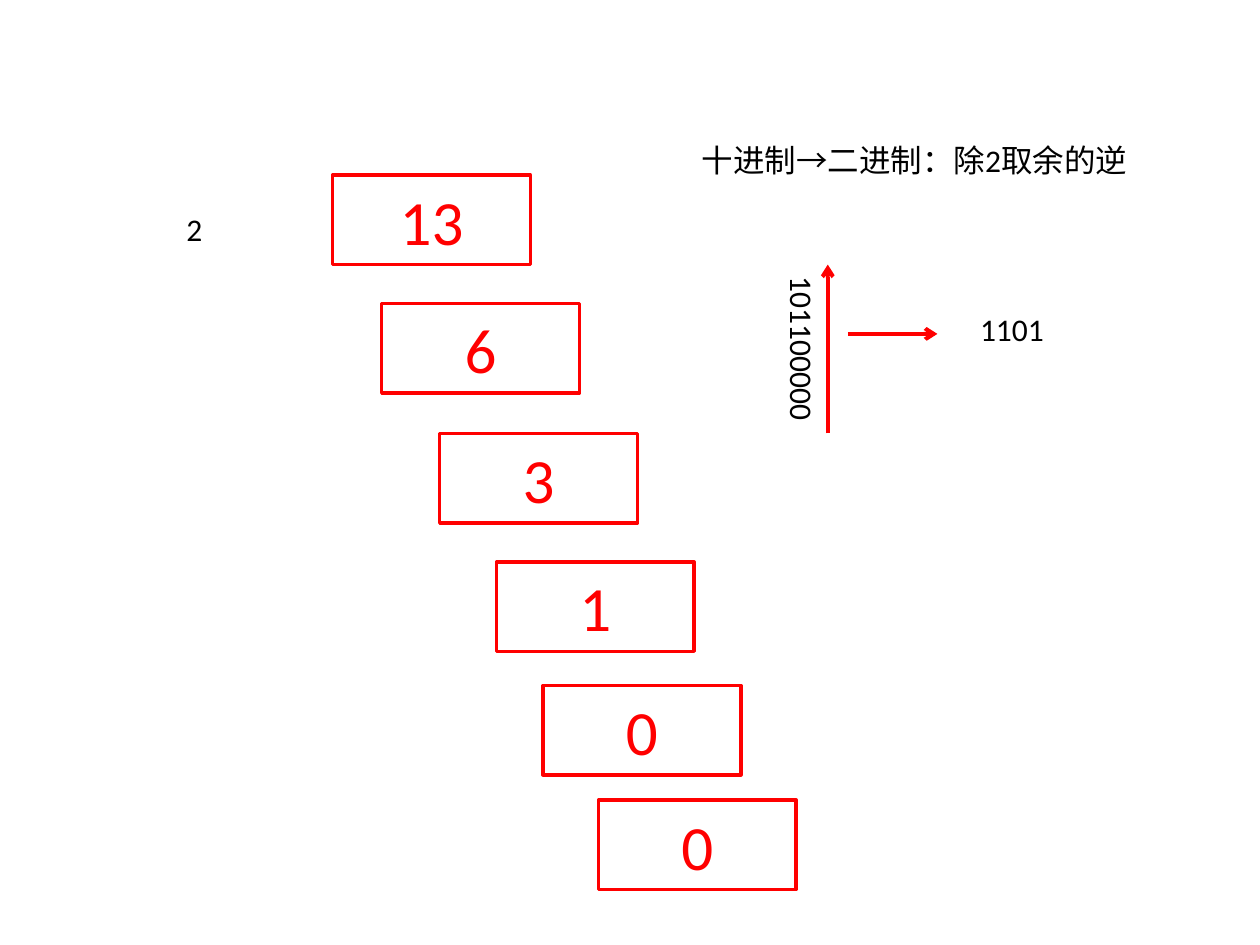
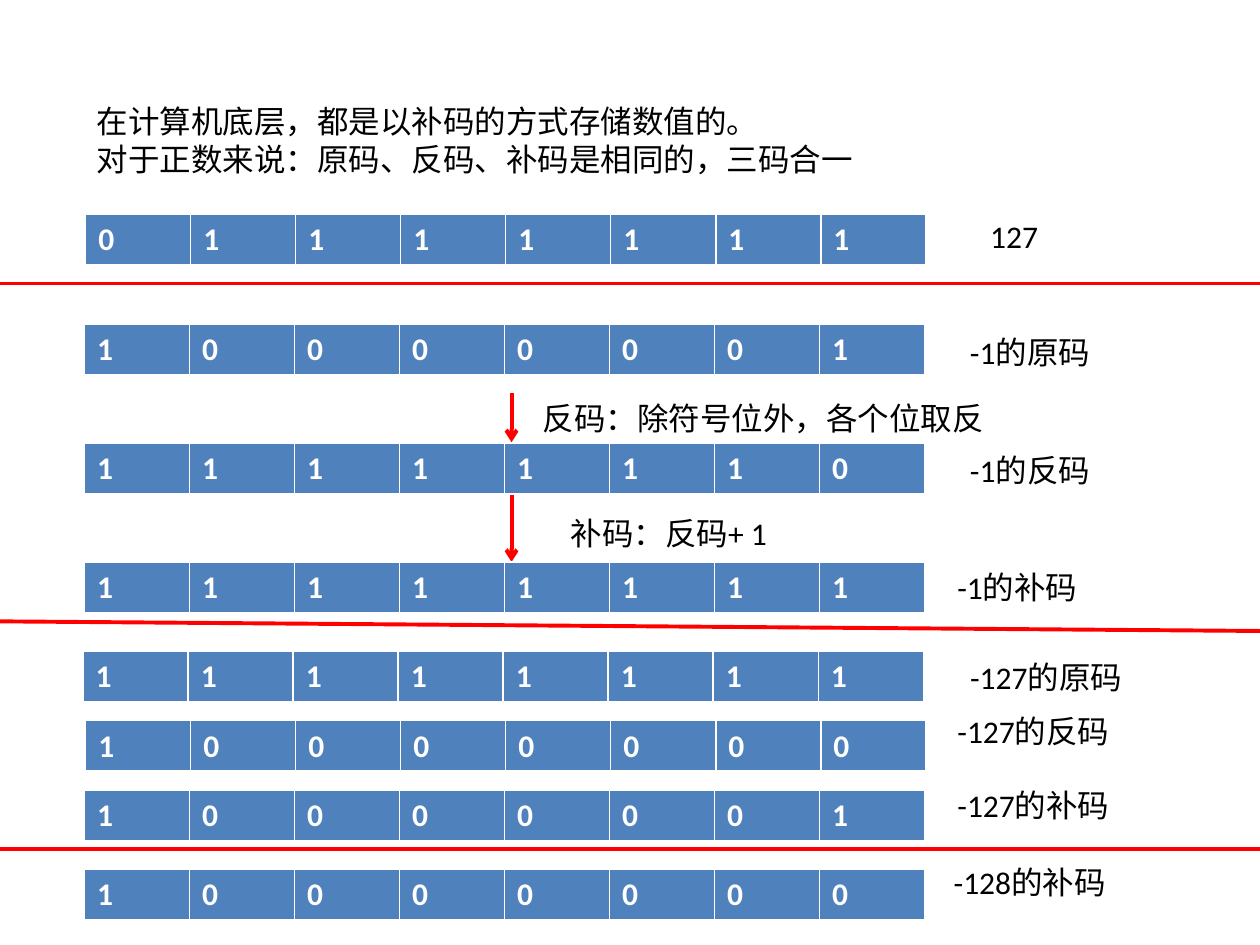
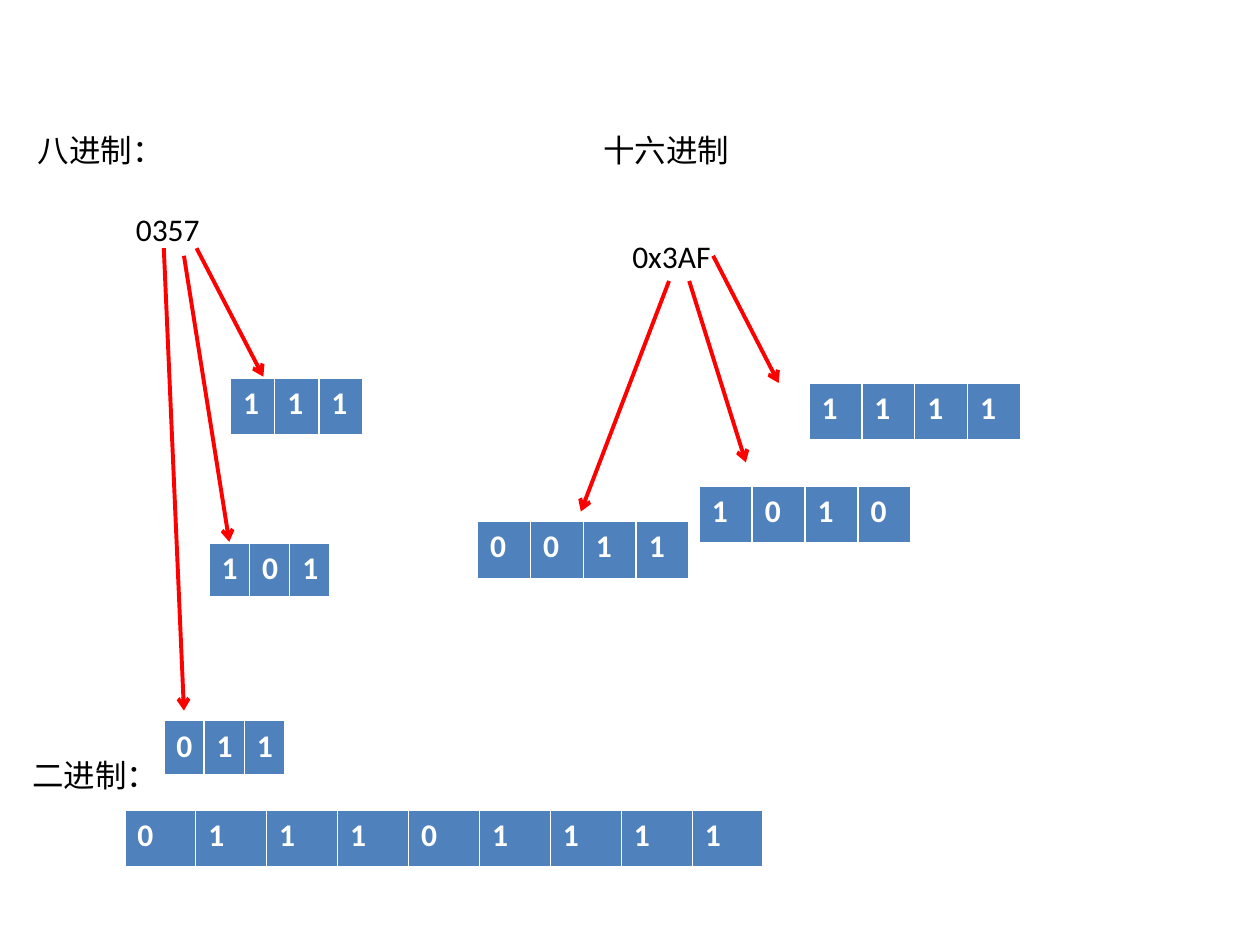
from lxml.etree import SubElement
from pptx import Presentation
from pptx.dml.color import RGBColor
from pptx.enum.shapes import MSO_CONNECTOR, MSO_SHAPE
from pptx.enum.text import MSO_ANCHOR, MSO_AUTO_SIZE, PP_ALIGN
from pptx.oxml.ns import qn
from pptx.util import Inches, Pt

RED = RGBColor(0xFF, 0x00, 0x00)
BLUE = RGBColor(0x4F, 0x81, 0xBD)
WHITE = RGBColor(0xFF, 0xFF, 0xFF)
BLACK = RGBColor(0x00, 0x00, 0x00)
FONT = "Calibri"
LABEL_HEIGHT = 0.4

QUOTIENT_SIZE = (1.57, 0.71)
QUOTIENTS = [
    ("13", 2.64, 1.39),
    ("6", 3.03, 2.41),
    ("3", 3.49, 3.44),
    ("1", 3.94, 4.46),
    ("0", 4.31, 5.44),
    ("0", 4.75, 6.35),
]
DIVISION_LABELS = [
    ("十进制→二进制：除2取余的逆", 5.47, 1.07, 3.7),
    ("2", 1.38, 1.62, 0.79),
    ("1101", 7.68, 2.41, 1.34),
]
REMAINDERS = ("101100000", 6.07, 2.1, 0.5)
REMAINDERS_HEIGHT = 3.7
DIVISION_ARROWS = [
    ((6.57, 3.44), (6.57, 2.1)),
    ((6.73, 2.65), (7.44, 2.65)),
]

BYTE_SIZE = (6.67, 0.4)
BYTES = [
    ("01111111", 0.68, 1.7),
    ("10000001", 0.67, 2.57),
    ("11111110", 0.67, 3.52),
    ("11111111", 0.67, 4.46),
    ("11111111", 0.66, 5.17),
    ("10000000", 0.68, 5.72),
    ("10000001", 0.67, 6.27),
    ("10000000", 0.67, 6.9),
]
STORAGE_RULE = (
    "在计算机底层，都是以补码的方式存储数值的。\n"
    "对于正数来说：原码、反码、补码是相同的，三码合一",
    0.67, 0.76, 8.5,
)
STORAGE_RULE_HEIGHT = 1.31
COMPLEMENT_LABELS = [
    ("127", 7.76, 1.67, 1.18),
    ("-1的原码", 7.6, 2.59, 1.34),
    ("反码：除符号位外，各个位取反", 4.21, 3.12, 4.13),
    ("-1的反码", 7.6, 3.53, 1.34),
    ("补码：反码+ 1", 4.43, 4.03, 3.07),
    ("-1的补码", 7.5, 4.46, 1.34),
    ("-127的原码", 7.6, 5.17, 2.68),
    ("-127的反码", 7.5, 5.6, 2.68),
    ("-127的补码", 7.5, 6.19, 2.68),
    ("-128的补码", 7.47, 6.8, 2.68),
]
DIVIDERS = [
    ((-0.2, 2.25), (10.28, 2.25)),
    ((-0.2, 4.93), (10.28, 5.01)),
    ((-0.12, 6.74), (10.18, 6.74)),
]
COMPLEMENT_ARROWS = [
    ((4.06, 3.12), (4.06, 3.51)),
    ((4.06, 3.93), (4.06, 4.46)),
]

BASE_LABELS = [
    ("八进制：", 0.2, 0.99, 2.52),
    ("0357", 0.98, 1.62, 0.94),
    ("二进制：", 0.16, 5.95, 1.14),
    ("十六进制", 4.69, 0.99, 2.13),
    ("0x3AF", 4.92, 1.83, 1.97),
]
DIGIT_GROUPS = [
    ("111", 1.83, 3, 1.05, 0.45),
    ("101", 1.66, 4.31, 0.96, 0.43),
    ("011", 1.3, 5.72, 0.96, 0.43),
    ("011101111", 0.99, 6.43, 5.07, 0.45),
    ("1111", 6.42, 3.04, 1.68, 0.45),
    ("1010", 5.55, 3.86, 1.68, 0.45),
    ("0011", 3.79, 4.14, 1.68, 0.45),
]
DIGIT_ARROWS = [
    ((1.56, 1.97), (2.09, 2.99)),
    ((1.46, 2.03), (1.82, 4.3)),
    ((1.3, 1.97), (1.46, 5.64)),
    ((5.66, 2.03), (6.18, 3.04)),
    ((5.47, 2.23), (5.92, 3.67)),
    ((5.31, 2.23), (4.61, 4.06)),
]


def write_text(text_frame, text, size=18, color=BLACK, bold=False, align=PP_ALIGN.LEFT):
    text_frame.text = text
    for paragraph in text_frame.paragraphs:
        paragraph.alignment = align
        for run in paragraph.runs:
            run.font.name = FONT
            run.font.size = Pt(size)
            run.font.bold = bold
            run.font.color.rgb = color


def add_label(slide, text, left, top, width, height=LABEL_HEIGHT, vertical=False):
    label = slide.shapes.add_textbox(*map(Inches, (left, top, width, height)))
    text_frame = label.text_frame
    text_frame.word_wrap = True
    text_frame.auto_size = MSO_AUTO_SIZE.SHAPE_TO_FIT_TEXT
    write_text(text_frame, text)
    if vertical:
        label.element.txBody.find(qn("a:bodyPr")).set("vert", "eaVert")


def add_quotient(slide, text, left, top):
    box = slide.shapes.add_shape(
        MSO_SHAPE.RECTANGLE, *map(Inches, (left, top, *QUOTIENT_SIZE))
    )
    box.shadow.inherit = False
    box.fill.background()
    box.line.color.rgb = RED
    box.line.width = Pt(2)
    box.text_frame.vertical_anchor = MSO_ANCHOR.MIDDLE
    write_text(box.text_frame, text, size=36, color=RED, align=PP_ALIGN.CENTER)


def add_line(slide, start, end, arrow=False):
    connector = slide.shapes.add_connector(
        MSO_CONNECTOR.STRAIGHT, *map(Inches, (*start, *end))
    )
    connector.line.color.rgb = RED
    connector.line.width = Pt(2.25)
    if arrow:
        SubElement(connector.line._get_or_add_ln(), qn("a:tailEnd"), type="arrow")
    SubElement(connector.element.spPr, qn("a:effectLst"))


def add_bits(slide, bits, left, top, width, height):
    table = slide.shapes.add_table(
        1, len(bits), *map(Inches, (left, top, width, height))
    ).table
    table.horz_banding = False
    for cell, bit in zip(table.iter_cells(), bits):
        cell.fill.solid()
        cell.fill.fore_color.rgb = BLUE
        write_text(cell.text_frame, bit, color=WHITE, bold=True)


def add_slide(presentation, labels, arrows):
    slide = presentation.slides.add_slide(presentation.slide_layouts[6])
    for label in labels:
        add_label(slide, *label)
    for start, end in arrows:
        add_line(slide, start, end, arrow=True)
    return slide


def main():
    presentation = Presentation()
    presentation.slide_width = Inches(10)
    presentation.slide_height = Inches(7.5)

    division = add_slide(presentation, DIVISION_LABELS, DIVISION_ARROWS)
    add_label(division, *REMAINDERS, height=REMAINDERS_HEIGHT, vertical=True)
    for quotient in QUOTIENTS:
        add_quotient(division, *quotient)

    complement = add_slide(presentation, COMPLEMENT_LABELS, COMPLEMENT_ARROWS)
    add_label(complement, *STORAGE_RULE, height=STORAGE_RULE_HEIGHT)
    for start, end in DIVIDERS:
        add_line(complement, start, end)
    for byte in BYTES:
        add_bits(complement, *byte, *BYTE_SIZE)

    bases = add_slide(presentation, BASE_LABELS, DIGIT_ARROWS)
    for group in DIGIT_GROUPS:
        add_bits(bases, *group)

    presentation.save("out.pptx")


if __name__ == "__main__":
    main()
